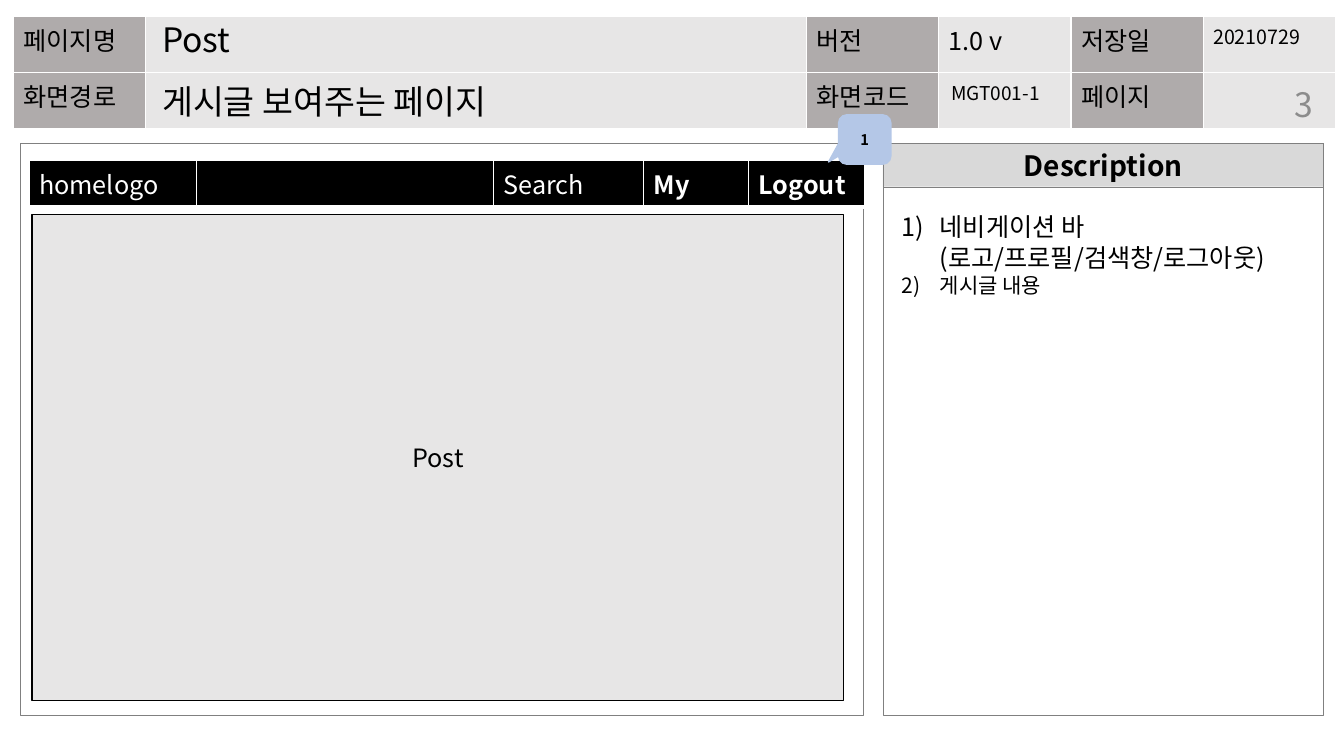
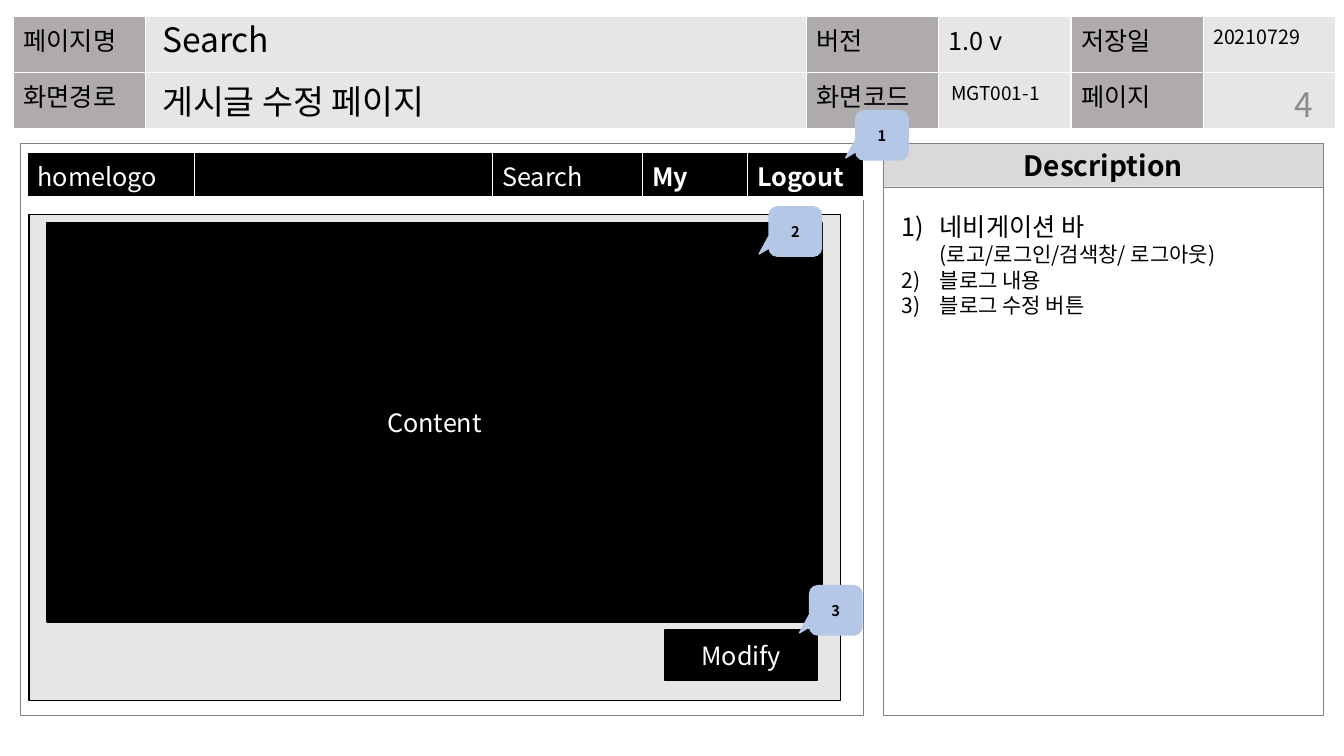
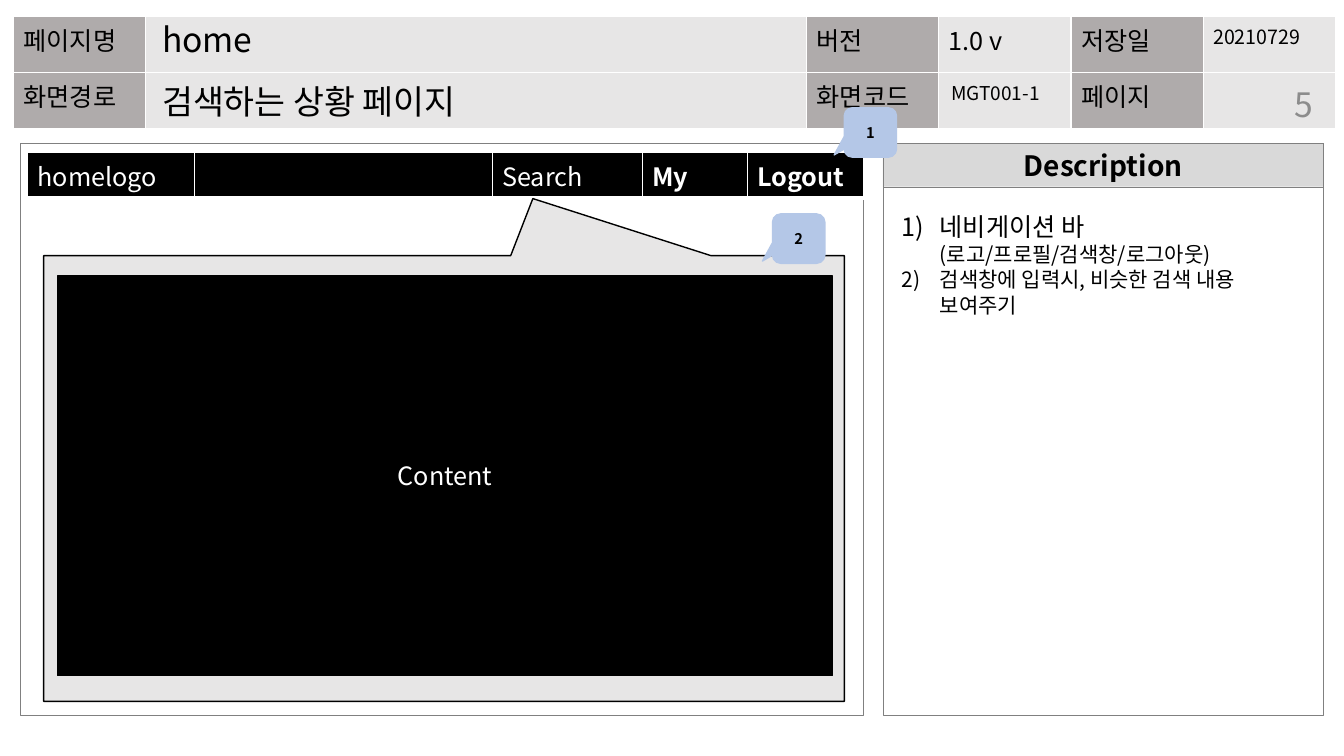
from dataclasses import dataclass

from lxml import etree
from pptx import Presentation
from pptx.dml.color import RGBColor
from pptx.enum.shapes import MSO_SHAPE
from pptx.enum.text import MSO_ANCHOR, MSO_AUTO_SIZE, PP_ALIGN
from pptx.oxml.ns import qn
from pptx.shapes.autoshape import Shape
from pptx.slide import Slide
from pptx.table import _Cell as Cell
from pptx.text.text import TextFrame, _Paragraph as Paragraph
from pptx.util import Pt

# Shared style
FONT = "Noto Sans CJK KR"
BLACK = RGBColor(0x00, 0x00, 0x00)
WHITE = RGBColor(0xFF, 0xFF, 0xFF)
LABEL_GREY = RGBColor(0xAF, 0xAB, 0xAB)
LIGHT_GREY = RGBColor(0xE7, 0xE6, 0xE6)
HEADING_GREY = RGBColor(0xD9, 0xD9, 0xD9)
OUTLINE_GREY = RGBColor(0x80, 0x80, 0x80)
NUMBER_GREY = RGBColor(0x8C, 0x8C, 0x8C)
CALLOUT_BLUE = RGBColor(0xB4, 0xC7, 0xE7)

RECTANGLE = MSO_SHAPE.RECTANGLE
RECTANGLE_CALLOUT = MSO_SHAPE.RECTANGULAR_CALLOUT
ROUNDED_CALLOUT = MSO_SHAPE.ROUNDED_RECTANGULAR_CALLOUT
MIDDLE = MSO_ANCHOR.MIDDLE
TOP = MSO_ANCHOR.TOP
LEFT = PP_ALIGN.LEFT
CENTER = PP_ALIGN.CENTER
RIGHT = PP_ALIGN.RIGHT
FIT_SHAPE = MSO_AUTO_SIZE.SHAPE_TO_FIT_TEXT

# Layout shared by the slides, in points
FIRST_PAGE = 3
HEADER_COLUMNS = (94.4, 472.2, 94.4, 94.4, 94.4, 94.4)
NAV_COLUMNS = (119.5, 212.4, 107.3, 74.9, 82.8)
CALLOUT_SIZE = (37.4, 35.3)
CALLOUT_TIP = (-0.692, 0.455, 0.167)
ITEM_INDENT = 27


@dataclass(frozen=True)
class Box:
    left: float
    top: float
    width: float
    height: float


@dataclass(frozen=True)
class Words:
    text: str
    size: float = 18
    bold: bool = False
    color: RGBColor = BLACK


@dataclass(frozen=True)
class TableCell:
    words: Words
    fill: RGBColor


@dataclass(frozen=True)
class Panel:
    box: Box
    fill: RGBColor | None = BLACK
    line: RGBColor = BLACK
    line_width: float = 1
    words: Words | None = None
    kind: MSO_SHAPE = RECTANGLE
    adjustments: tuple[float, ...] = ()


@dataclass(frozen=True)
class Page:
    name: str
    route: str
    nav_position: tuple[float, float]
    panels: tuple[Panel, ...]
    callouts: tuple[tuple[float, float], ...]
    items: tuple[tuple[Words, ...], ...]
    items_height: float


def label(text: str) -> TableCell:
    return TableCell(Words(text), LABEL_GREY)


def value(text: str, size: float = 18) -> TableCell:
    return TableCell(Words(text, size), LIGHT_GREY)


def nav(text: str, bold: bool = False) -> TableCell:
    return TableCell(Words(text, 18, bold, WHITE), BLACK)


HEADER_ROWS = (
    (label("페이지명"), value(""), label("버전"), value("1.0 v"),
     label("저장일"), value("20210729", 14)),
    (label("화면경로"), value(""), label("화면코드"), value(""),
     label("페이지"), value("")),
)
NAV_ROWS = ((nav("homelogo"), nav(""), nav("Search"),
             nav("My", True), nav("Logout", True)),)

FRAMES = (
    Panel(Box(630.7, 102.4, 314.6, 31), HEADING_GREY, OUTLINE_GREY, 0.25,
          Words("Description", 20, True)),
    Panel(Box(14.6, 102.4, 602, 408.4), None, OUTLINE_GREY, 0.25),
    Panel(Box(630.7, 102.4, 314.6, 408.4), None, OUTLINE_GREY, 0.25),
)

CONTENT = Words("Content", color=WHITE)
NAVIGATION = Words("네비게이션 바")

PAGES = (
    Page(
        "Post", "게시글 보여주는 페이지", (20.7, 114.6),
        (Panel(Box(23, 153.3, 579.6, 347), LIGHT_GREY, words=Words("Post")),),
        ((599, 82),),
        ((NAVIGATION, Words("(로고/프로필/검색창/로그아웃)")),
         (Words("게시글 내용", 15),)),
        69,
    ),
    Page(
        "Search", "게시글 수정 페이지", (19.7, 108.6),
        (Panel(Box(20.7, 153.3, 579.6, 347), LIGHT_GREY),
         Panel(Box(33.5, 159.2, 553.9, 285.2), words=CONTENT),
         Panel(Box(475, 450, 108.8, 36), words=Words("Modify", color=WHITE))),
        ((611.3, 79), (549.4, 147.7), (578.3, 418.3)),
        ((NAVIGATION, Words("(로고/로그인/검색창/ 로그아웃)", 15)),
         (Words("블로그 내용", 15),),
         (Words("블로그 수정 버튼", 15),)),
        101.5,
    ),
    Page(
        "home", "검색하는 상황 페이지", (19.7, 108.6),
        (Panel(Box(31.2, 182.6, 571.9, 318.4), LIGHT_GREY,
               kind=RECTANGLE_CALLOUT, adjustments=(0.111, -0.628)),
         Panel(Box(41, 197, 553.9, 285.6), words=CONTENT)),
        ((603, 77), (551.8, 152.8)),
        ((NAVIGATION, Words("(로고/프로필/검색창/로그아웃)", 15)),
         (Words("검색창에 입력시, 비슷한 검색 내용 보여주기", 15),)),
        83.5,
    ),
)


def place(box: Box) -> tuple[Pt, Pt, Pt, Pt]:
    return Pt(box.left), Pt(box.top), Pt(box.width), Pt(box.height)


def add_words(paragraph: Paragraph, words: Words) -> None:
    run = paragraph.add_run()
    run.text = words.text
    run.font.size = Pt(words.size)
    run.font.bold = words.bold
    run.font.color.rgb = words.color
    run.font.name = FONT
    latin = run._r.get_or_add_rPr().find(qn("a:latin"))
    east_asian = etree.Element(qn("a:ea"), typeface=FONT)
    latin.addnext(east_asian)


def add_text_box(slide: Slide, box: Box, anchor: MSO_ANCHOR = TOP) -> TextFrame:
    frame = slide.shapes.add_textbox(*place(box)).text_frame
    frame.word_wrap = True
    frame.vertical_anchor = anchor
    return frame


def add_field(slide: Slide, box: Box, words: Words, spacing: float) -> None:
    paragraph = add_text_box(slide, box).paragraphs[0]
    paragraph.alignment = LEFT
    paragraph.line_spacing = spacing
    paragraph.space_before = Pt(10)
    add_words(paragraph, words)


def add_panel(slide: Slide, panel: Panel) -> Shape:
    shape = slide.shapes.add_shape(panel.kind, *place(panel.box))
    shape.shadow.inherit = False
    for index, adjustment in enumerate(panel.adjustments):
        shape.adjustments[index] = adjustment
    if panel.fill is None:
        shape.fill.background()
    else:
        shape.fill.solid()
        shape.fill.fore_color.rgb = panel.fill
    shape.line.color.rgb = panel.line
    shape.line.width = Pt(panel.line_width)
    if panel.words:
        frame = shape.text_frame
        frame.vertical_anchor = MIDDLE
        frame.paragraphs[0].alignment = CENTER
        add_words(frame.paragraphs[0], panel.words)
    return shape


def set_borders(cell: Cell, bottom_width: float) -> None:
    properties = cell._tc.get_or_add_tcPr()
    for side, width in (("L", 1), ("R", 1), ("T", 1), ("B", bottom_width)):
        line = etree.SubElement(properties, qn(f"a:ln{side}"), w=str(Pt(width)))
        fill = etree.SubElement(line, qn("a:solidFill"))
        etree.SubElement(fill, qn("a:srgbClr"), val=str(WHITE))


def add_grid(slide: Slide, left: float, top: float, columns: tuple[float, ...],
             row_height: float, rows: tuple[tuple[TableCell, ...], ...],
             bottom_width: float) -> None:
    box = Box(left, top, sum(columns), row_height * len(rows))
    table = slide.shapes.add_table(len(rows), len(columns), *place(box)).table
    table.first_row = False
    table.horz_banding = False
    for column, width in zip(table.columns, columns):
        column.width = Pt(width)
    for row_index, row in enumerate(rows):
        for column_index, content in enumerate(row):
            cell = table.cell(row_index, column_index)
            set_borders(cell, bottom_width)
            cell.fill.solid()
            cell.fill.fore_color.rgb = content.fill
            if content.words.text:
                add_words(cell.text_frame.paragraphs[0], content.words)


def add_callout(slide: Slide, number: int, left: float, top: float) -> None:
    shape = add_panel(slide, Panel(
        Box(left, top, *CALLOUT_SIZE), CALLOUT_BLUE, CALLOUT_BLUE,
        words=Words(str(number), 10.5, True),
        kind=ROUNDED_CALLOUT, adjustments=CALLOUT_TIP))
    frame = shape.text_frame
    frame.margin_left = frame.margin_right = Pt(0)
    frame.margin_top = frame.margin_bottom = Pt(0)


def add_description(slide: Slide, page: Page) -> None:
    frame = add_text_box(slide, Box(637.2, 147.6, 301.7, page.items_height))
    frame.auto_size = FIT_SHAPE
    for index, lines in enumerate(page.items):
        paragraph = frame.add_paragraph() if index else frame.paragraphs[0]
        properties = paragraph._p.get_or_add_pPr()
        properties.set("marL", str(Pt(ITEM_INDENT)))
        properties.set("indent", str(-Pt(ITEM_INDENT)))
        etree.SubElement(properties, qn("a:buFont"), typeface="+mj-lt")
        etree.SubElement(properties, qn("a:buAutoNum"), type="arabicParenR")
        for line_index, words in enumerate(lines):
            if line_index:
                paragraph.add_line_break()
            add_words(paragraph, words)


def add_page_frame(slide: Slide, page: Page, number: int) -> None:
    # Header table and its fields
    add_grid(slide, 9.6, 11.8, HEADER_COLUMNS, 40, HEADER_ROWS, 1)
    for frame in FRAMES:
        add_panel(slide, frame)
    add_field(slide, Box(108.7, 13, 353.5, 36.7), Words(page.name, 24), 0.9)
    add_field(slide, Box(108.7, 57.6, 462.2, 36.7), Words(page.route, 24), 0.9)
    add_field(slide, Box(672.5, 57.6, 85, 31), Words("MGT001-1", 13.6), 0.8)

    # Page number
    paragraph = add_text_box(slide, Box(859.7, 56.2, 85, 36), MIDDLE).paragraphs[0]
    paragraph.alignment = RIGHT
    add_words(paragraph, Words(str(number), 24, color=NUMBER_GREY))


def main() -> None:
    presentation = Presentation()
    presentation.slide_width = Pt(960)
    presentation.slide_height = Pt(540)
    blank_layout = presentation.slide_layouts[6]
    for number, page in enumerate(PAGES, FIRST_PAGE):
        slide = presentation.slides.add_slide(blank_layout)
        add_page_frame(slide, page, number)
        add_description(slide, page)

        # Wireframe with numbered callouts
        add_grid(slide, *page.nav_position, NAV_COLUMNS, 33.1, NAV_ROWS, 3)
        for panel in page.panels:
            add_panel(slide, panel)
        for callout_number, position in enumerate(page.callouts, 1):
            add_callout(slide, callout_number, *position)
    presentation.save("out.pptx")


if __name__ == "__main__":
    main()
